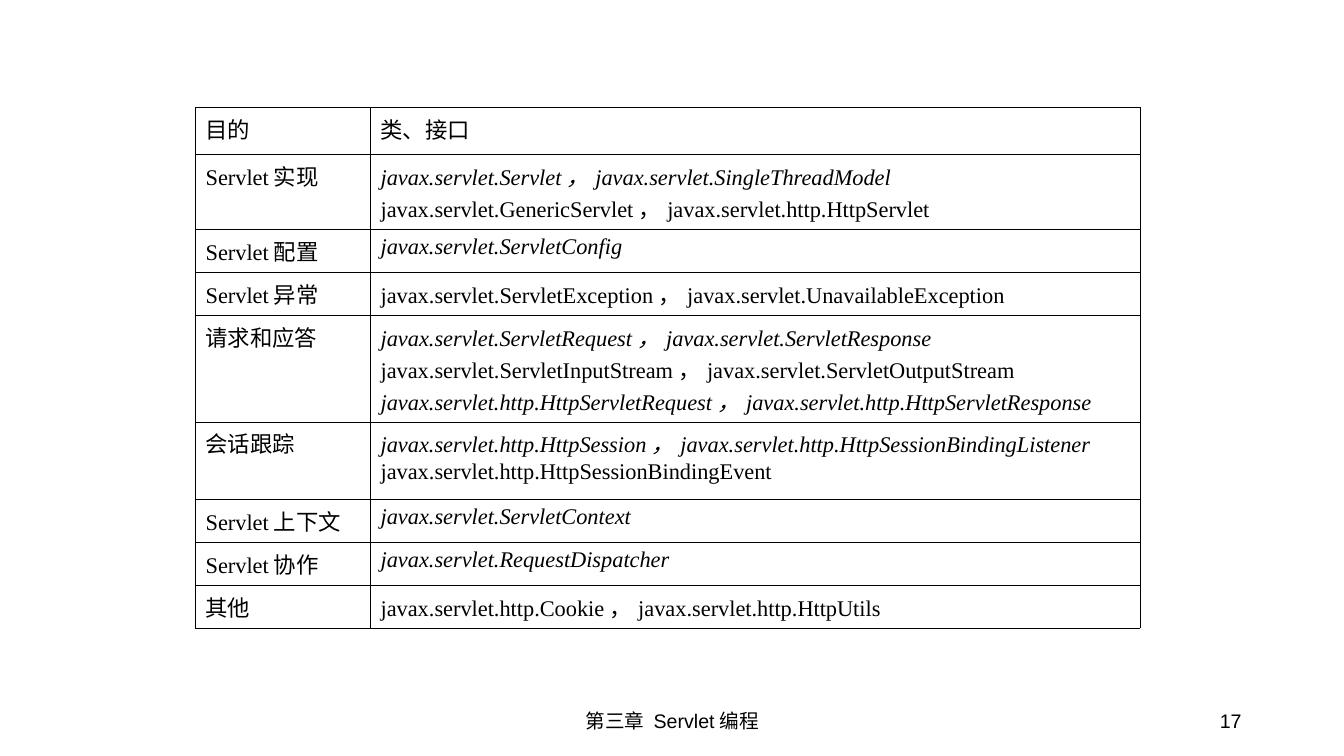
from lxml.etree import SubElement
from pptx import Presentation
from pptx.dml.color import RGBColor
from pptx.enum.lang import MSO_LANGUAGE_ID
from pptx.enum.text import MSO_ANCHOR, PP_ALIGN
from pptx.oxml.ns import qn
from pptx.util import Cm, Pt

# Content: purpose, then lines of (text, is interface)
HEADER = ("目的", [("类、接口", False)])
PURPOSES = [
    ("Servlet实现", [
        ("javax.servlet.Servlet，javax.servlet.SingleThreadModel", True),
        ("javax.servlet.GenericServlet，javax.servlet.http.HttpServlet", False)]),
    ("Servlet配置", [("javax.servlet.ServletConfig", True)]),
    ("Servlet异常", [
        ("javax.servlet.ServletException，javax.servlet.UnavailableException", False)]),
    ("请求和应答", [
        ("javax.servlet.ServletRequest，javax.servlet.ServletResponse", True),
        ("javax.servlet.ServletInputStream，javax.servlet.ServletOutputStream", False),
        ("javax.servlet.http.HttpServletRequest，javax.servlet.http.HttpServletResponse", True)]),
    ("会话跟踪", [
        ("javax.servlet.http.HttpSession，javax.servlet.http.HttpSessionBindingListener", True),
        ("javax.servlet.http.HttpSessionBindingEvent", False)]),
    ("Servlet上下文", [("javax.servlet.ServletContext", True)]),
    ("Servlet协作", [("javax.servlet.RequestDispatcher", True)]),
    ("其他", [("javax.servlet.http.Cookie，javax.servlet.http.HttpUtils", False)]),
]
# Footer: text, left, width, alignment
FOOTERS = [
    ("第三章 Servlet编程", 11.23, 11.43, PP_ALIGN.CENTER),
    ("17", 23.93, 7.62, PP_ALIGN.RIGHT),
]
COLUMN_WIDTHS = [4.41, 19.4]
ROW_HEIGHTS = [1.2, 1.78, 1.08, 1.08, 2.46, 1.95, 1.08, 1.08, 1.08]
BLACK = "000000"
HANGING = Cm(2.26)


def color(value):
    return RGBColor.from_string(value)


def write(para, text, size=16, font="Times New Roman", italic=False,
          align=PP_ALIGN.LEFT):
    para.alignment = align
    span = para.add_run()
    span.text = text
    span.font.size = Pt(size)
    span.font.name = font
    span.font.italic = italic
    span.font.color.rgb = color(BLACK)
    span.font.language_id = MSO_LANGUAGE_ID.SIMPLIFIED_CHINESE


def add_borders(cell):
    properties = cell._tc.get_or_add_tcPr()
    for side in ("a:lnL", "a:lnR", "a:lnT", "a:lnB"):
        line = SubElement(properties, qn(side), w=str(Pt(0.45)))
        fill = SubElement(line, qn("a:solidFill"))
        SubElement(fill, qn("a:srgbClr"), val=BLACK)


def fill_cell(cell, lines):
    add_borders(cell)
    cell.fill.background()
    frame = cell.text_frame
    for index, (text, italic) in enumerate(lines):
        para = frame.add_paragraph() if index else frame.paragraphs[0]
        indents = para._p.get_or_add_pPr()
        indents.set("marL", str(HANGING))
        indents.set("indent", str(-HANGING))
        write(para, text, italic=italic)


deck = Presentation()
deck.slide_width, deck.slide_height = Cm(33.88), Cm(19.05)
page = deck.slides.add_slide(deck.slide_layouts[6])

# Table of purposes and their classes
rows = [HEADER] + PURPOSES
table = page.shapes.add_table(
    len(rows), len(COLUMN_WIDTHS), Cm(4.93), Cm(2.7),
    Cm(sum(COLUMN_WIDTHS)), Cm(sum(ROW_HEIGHTS))).table
table.first_row = table.horz_banding = False
for column, width in zip(table.columns, COLUMN_WIDTHS):
    column.width = Cm(width)
for index, (purpose, lines) in enumerate(rows):
    table.rows[index].height = Cm(ROW_HEIGHTS[index])
    fill_cell(table.cell(index, 0), [(purpose, False)])
    fill_cell(table.cell(index, 1), lines)

# Footer and page number
for text, left, width, align in FOOTERS:
    box = page.shapes.add_textbox(Cm(left), Cm(17.65), Cm(width), Cm(1.02))
    box.text_frame.word_wrap = True
    box.text_frame.vertical_anchor = MSO_ANCHOR.MIDDLE
    write(box.text_frame.paragraphs[0], text, size=14, font="Arial", align=align)

deck.save("out.pptx")
